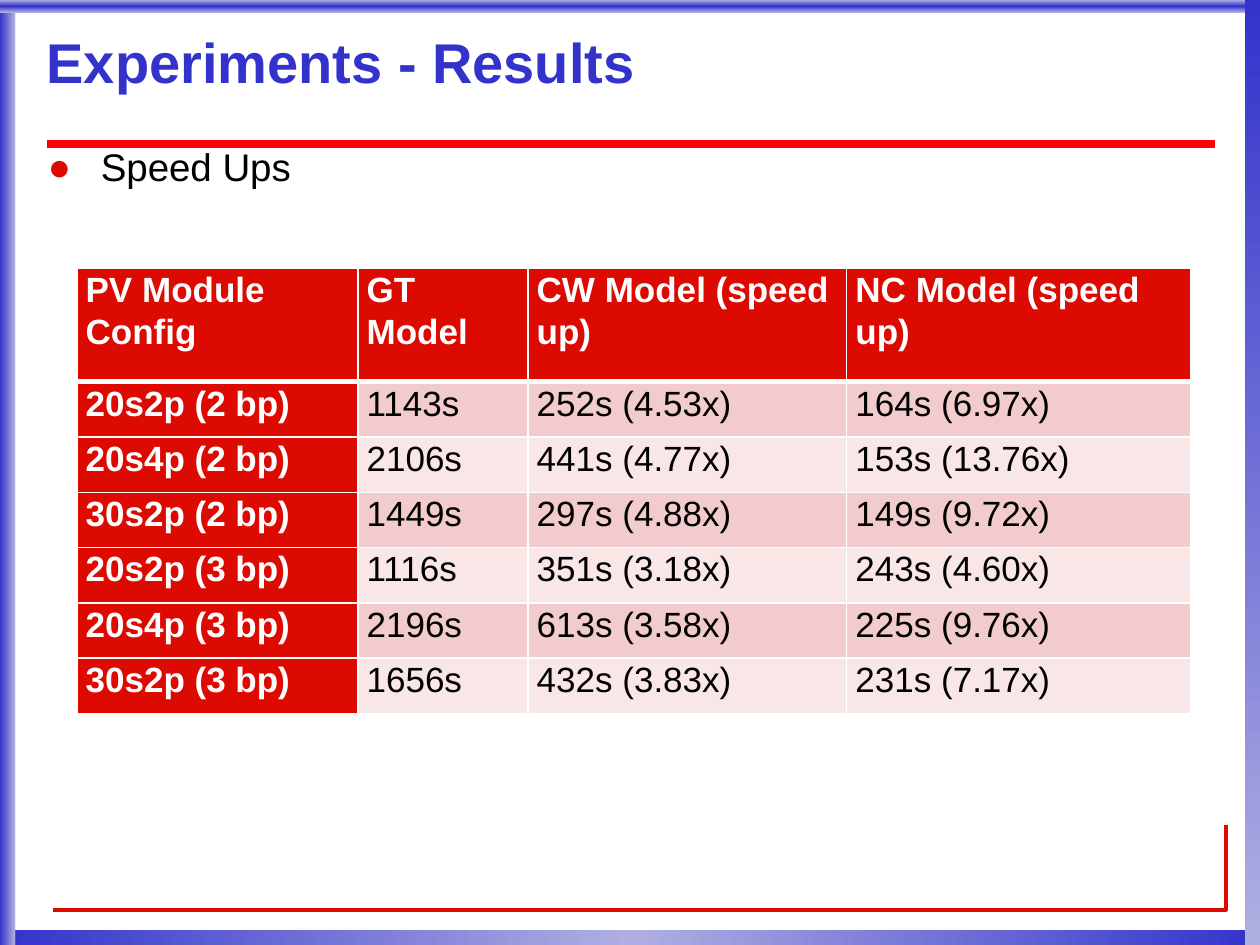
from dataclasses import dataclass

from lxml.etree import SubElement
from pptx import Presentation
from pptx.dml.color import RGBColor
from pptx.enum.shapes import MSO_CONNECTOR, MSO_SHAPE
from pptx.enum.text import MSO_ANCHOR, MSO_AUTO_SIZE, PP_ALIGN
from pptx.oxml.ns import qn
from pptx.util import Inches, Pt


@dataclass(frozen=True)
class Theme:
    font: str = "Arial"
    blue: str = "3333CC"
    pale_blue: str = "AFAFE2"
    red: str = "DC0A00"
    rule_red: str = "FF0000"
    bands: tuple = ("F2CCCC", "F9E7E7")
    white: str = "FFFFFF"
    black: str = "000000"
    shadow: str = "B2B2B2"
    title_size: int = 32
    body_size: int = 22
    table_size: int = 20


THEME = Theme()
WIDTH, HEIGHT = Inches(10), Inches(7.5)

COLUMN_SHARES = (22.3, 13.5, 25.3, 27.3)
HEADER_SHARE, ROW_SHARE = 12, 5.85
RESULTS = (
    ("PV Module Config", "GT Model", "CW Model (speed up)", "NC Model (speed up)"),
    ("20s2p (2 bp)", "1143s", "252s (4.53x)", "164s (6.97x)"),
    ("20s4p (2 bp)", "2106s", "441s (4.77x)", "153s (13.76x)"),
    ("30s2p (2 bp)", "1449s", "297s (4.88x)", "149s (9.72x)"),
    ("20s2p (3 bp)", "1116s", "351s (3.18x)", "243s (4.60x)"),
    ("20s4p (3 bp)", "2196s", "613s (3.58x)", "225s (9.76x)"),
    ("30s2p (3 bp)", "1656s", "432s (3.83x)", "231s (7.17x)"),
)


def across(share):
    """Length of a percentage of the slide's width."""
    return round(WIDTH * share / 100)


def down(share):
    """Length of a percentage of the slide's height."""
    return round(HEIGHT * share / 100)


def area(left, top, width, height):
    return across(left), down(top), across(width), down(height)


def add_color(parent, color):
    return SubElement(parent, qn("a:srgbClr"), val=color)


def style_paragraph(para, size, color, bold=False, spacing=1.0):
    para.alignment = PP_ALIGN.LEFT
    para.line_spacing = spacing
    font = para.font
    font.name, font.size, font.bold = THEME.font, Pt(size), bold
    font.color.rgb = RGBColor.from_string(color)


def set_margins(holder, horizontal, vertical):
    holder.margin_left = holder.margin_right = Inches(horizontal)
    holder.margin_top = holder.margin_bottom = Inches(vertical)


def add_gradient_bar(page, box, colors, angle):
    """Add a bar with evenly spaced colour stops; the angle runs clockwise."""
    bar = page.shapes.add_shape(MSO_SHAPE.RECTANGLE, *box)
    bar.shadow.inherit = False
    bar.line.fill.background()
    bar.fill.gradient()
    bar.fill.gradient_angle = -angle % 360
    stops = bar._element.spPr.find(qn("a:gradFill")).find(qn("a:gsLst"))
    for stop in list(stops):
        stops.remove(stop)
    for index, color in enumerate(colors):
        position = 100000 * index // (len(colors) - 1)
        add_color(SubElement(stops, qn("a:gs"), pos=str(position)), color)


def add_frame(page):
    blue, pale = THEME.blue, THEME.pale_blue
    add_gradient_bar(page, area(0, 98.4, 100, 1.6), (blue, pale, blue), 0)
    add_gradient_bar(page, area(0, 0, 1.2, 100), (blue, pale), 0)
    add_gradient_bar(page, area(0, 0, 100, 1.33), (pale, blue, pale), 90)
    add_gradient_bar(page, area(98.8, 0, 1.2, 100), (blue, pale), 90)


def add_title_rule(page):
    rule = page.shapes.add_connector(
        MSO_CONNECTOR.STRAIGHT, across(3.7), down(15.2), across(96.4), down(15.2))
    rule.line.color.rgb = RGBColor.from_string(THEME.rule_red)
    rule.line.width = Pt(4.5)
    SubElement(rule._element.spPr, qn("a:effectLst"))


def add_corner(page):
    right, bottom = across(97.3), down(96.27)
    builder = page.shapes.build_freeform(right, down(87.33))
    builder.add_line_segments([(right, bottom), (across(4.2), bottom)], close=False)
    corner = builder.convert_to_shape()
    corner.shadow.inherit = False
    corner.fill.background()
    corner.line.color.rgb = RGBColor.from_string(THEME.red)
    corner.line.width = Pt(2.25)


def fill_placeholder(placeholder, box, text, anchor):
    """Move a placeholder, give it one line of text and return the paragraph."""
    placeholder.left, placeholder.top, placeholder.width, placeholder.height = box
    frame = placeholder.text_frame
    frame.text = text
    frame.word_wrap = True
    frame.auto_size = MSO_AUTO_SIZE.NONE
    frame.vertical_anchor = anchor
    return frame.paragraphs[0]


def add_text_shadow(span):
    effects = SubElement(span._r.get_or_add_rPr(), qn("a:effectLst"))
    shadow = SubElement(effects, qn("a:outerShdw"), blurRad="0",
                        dist=str(Pt(3)), dir="2700000", algn="tl")
    add_color(shadow, THEME.shadow)


def write_title(page):
    title = page.shapes.title
    para = fill_placeholder(title, area(3.7, 2, 93, 9.87),
                            "Experiments - Results", MSO_ANCHOR.MIDDLE)
    set_margins(title.text_frame, 0, 0)
    style_paragraph(para, THEME.title_size, THEME.blue, bold=True, spacing=0.87)
    add_text_shadow(para.runs[0])


def write_body(page):
    body = page.placeholders[1]
    para = fill_placeholder(body, area(2.8, 14.93, 93.1, 78.93),
                            "Speed Ups", MSO_ANCHOR.TOP)
    set_margins(body.text_frame, 0.1, 0.05)
    style_paragraph(para, THEME.body_size, THEME.black, spacing=0.93)
    para.space_before = Pt(0)
    properties = para._p.get_or_add_pPr()
    indent = Inches(0.42)
    properties.set("marL", str(indent))
    properties.set("indent", str(-indent))
    bullet_color = properties.makeelement(qn("a:buClr"))
    add_color(bullet_color, THEME.red)
    bullet = properties.makeelement(qn("a:buChar"), {"char": "●"})
    defaults = properties.find(qn("a:defRPr"))
    defaults.addprevious(bullet_color)
    defaults.addprevious(bullet)


def set_borders(cell, bottom_width):
    properties = cell._tc.get_or_add_tcPr()
    for index, side in enumerate(("lnL", "lnR", "lnT", "lnB")):
        width = Pt(bottom_width if side == "lnB" else 1)
        border = properties.makeelement(qn(f"a:{side}"), {"w": str(width)})
        add_color(SubElement(border, qn("a:solidFill")), THEME.white)
        properties.insert(index, border)


def add_results_table(page):
    box = area(6.1, 28.4, sum(COLUMN_SHARES),
               HEADER_SHARE + ROW_SHARE * (len(RESULTS) - 1))
    table = page.shapes.add_table(len(RESULTS), len(COLUMN_SHARES), *box).table
    for column, share in zip(table.columns, COLUMN_SHARES):
        column.width = across(share)
    for row_index, values in enumerate(RESULTS):
        table.rows[row_index].height = down(ROW_SHARE if row_index else HEADER_SHARE)
        for column_index, value in enumerate(values):
            heading = row_index == 0 or column_index == 0
            cell = table.cell(row_index, column_index)
            cell.text = value
            set_margins(cell, 0.07, 0)
            style_paragraph(cell.text_frame.paragraphs[0], THEME.table_size,
                            THEME.white if heading else THEME.black, heading, 1.07)
            cell.fill.solid()
            cell.fill.fore_color.rgb = RGBColor.from_string(
                THEME.red if heading else THEME.bands[(row_index - 1) % 2])
            set_borders(cell, bottom_width=1 if row_index else 3)


def main():
    deck = Presentation()
    deck.slide_width, deck.slide_height = WIDTH, HEIGHT
    page = deck.slides.add_slide(deck.slide_layouts[1])
    add_frame(page)
    add_title_rule(page)
    add_corner(page)
    write_title(page)
    write_body(page)
    add_results_table(page)
    deck.save("out.pptx")


if __name__ == "__main__":
    main()
